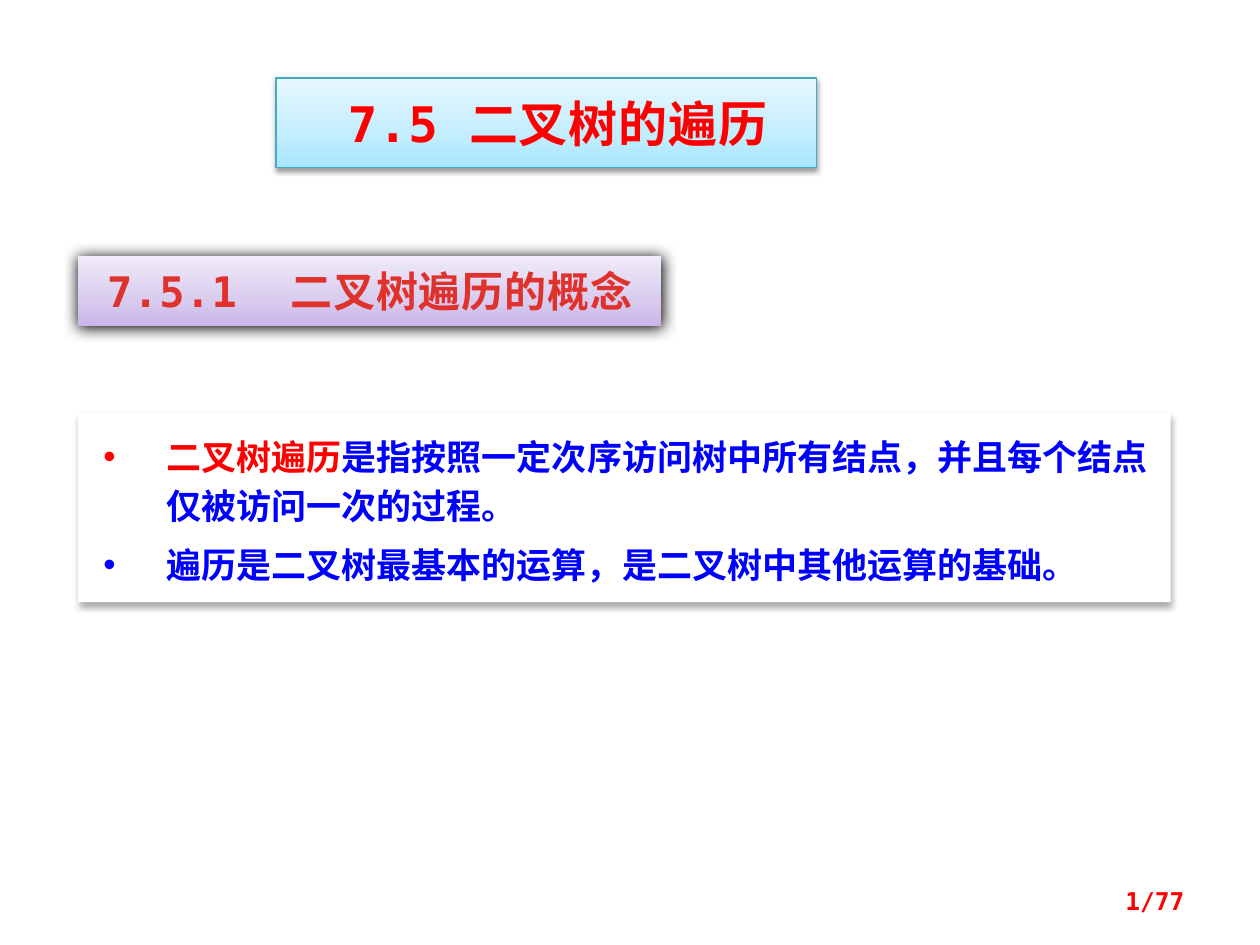
"""Build the section slide on binary tree traversal."""
from lxml.etree import SubElement
from pptx import Presentation
from pptx.dml.color import RGBColor
from pptx.enum.text import MSO_ANCHOR, MSO_AUTO_SIZE, PP_ALIGN
from pptx.oxml.ns import qn
from pptx.util import Inches, Pt

RED = RGBColor(0xFF, 0x00, 0x00)
BRICK = RGBColor(0xE0, 0x32, 0x2D)
BLUE = RGBColor(0x00, 0x00, 0xFF)
WHITE = RGBColor(0xFF, 0xFF, 0xFF)
TEAL = RGBColor(0x46, 0xAA, 0xC5)
SKY = [RGBColor(0xA7, 0xE6, 0xFF), RGBColor(0xC1, 0xED, 0xFF), RGBColor(0xE7, 0xF8, 0xFF)]
LILAC = [RGBColor(0xC9, 0xB5, 0xE8), RGBColor(0xD8, 0xCB, 0xEE), RGBColor(0xF0, 0xEA, 0xF9)]
STOPS = [0, 35, 100]


class SlideBuilder:
    """Hold the fonts and the current slide, and add its elements."""

    latin = "DejaVu Sans Mono"
    asian = "Noto Sans CJK SC"

    def __init__(self, deck):
        self.slide = deck.slides.add_slide(deck.slide_layouts[1])

    def place(self, box, area, margins, anchor=MSO_ANCHOR.TOP):
        box.left, box.top, box.width, box.height = map(Inches, area)
        frame = box.text_frame
        frame.word_wrap = True
        frame.auto_size = MSO_AUTO_SIZE.NONE
        frame.vertical_anchor = anchor
        left, top, right, bottom = map(Inches, margins)
        frame.margin_left, frame.margin_right = left, right
        frame.margin_top, frame.margin_bottom = top, bottom

    def format_span(self, span, size, color, spacing=0):
        font = span.font
        font.size, font.bold, font.name = Pt(size), True, self.latin
        font.color.rgb = color
        properties = span._r.get_or_add_rPr()
        properties.set("spc", str(round(spacing * 100)))
        SubElement(properties, qn("a:ea"), typeface=self.asian)

    def format_line(self, box, text, size, color, align, spacing=0):
        box.text_frame.text = text
        para = box.text_frame.paragraphs[0]
        para.alignment = align
        para.space_before = Pt(0)
        self.format_span(para.runs[0], size, color, spacing)

    def gradient(self, box, colors):
        box.fill.gradient()
        box.fill.gradient_angle = 90
        stops = box._element.spPr.find(".//" + qn("a:gsLst"))
        for stop in list(stops):
            stops.remove(stop)
        for position, color in zip(STOPS, colors):
            stop = SubElement(stops, qn("a:gs"), pos=str(position * 1000))
            SubElement(stop, qn("a:srgbClr"), val=str(color))

    def shadow(self, box, opacity, blur, distance):
        effects = SubElement(box._element.spPr, qn("a:effectLst"))
        outer = SubElement(effects, qn("a:outerShdw"), blurRad=str(Pt(blur)),
                           dist=str(Pt(distance)), dir="5400000", rotWithShape="0")
        color = SubElement(outer, qn("a:srgbClr"), val="000000")
        SubElement(color, qn("a:alpha"), val=str(opacity * 1000))

    def title(self, text):
        box = self.slide.shapes.title
        self.place(box, (2.19, 0.62, 4.29, 0.71), (0.28, 0.12, 0.1, 0.12))
        self.format_line(box, text, 28, RED, PP_ALIGN.CENTER, 0.5)
        self.gradient(box, SKY)
        box.line.color.rgb = TEAL
        box.line.width = Pt(0.75)
        self.shadow(box, 38, 3.1, 1.6)

    def heading(self, text):
        box = self.slide.shapes.add_textbox(0, 0, 0, 0)
        self.place(box, (0.62, 2.03, 4.63, 0.56), (0.1, 0.08, 0.1, 0.08))
        self.format_line(box, text, 24, BRICK, PP_ALIGN.CENTER, 0.5)
        self.gradient(box, LILAC)
        self.shadow(box, 100, 8.5, 1)

    def bullets(self, items):
        box = self.slide.placeholders[1]
        self.place(box, (0.62, 3.28, 8.67, 1.5), (0.2, 0.12, 0.1, 0.12))
        box.fill.solid()
        box.fill.fore_color.rgb = WHITE
        self.shadow(box, 32, 3.5, 2.2)
        frame = box.text_frame
        for index, spans in enumerate(items):
            para = frame.add_paragraph() if index else frame.paragraphs[0]
            para.line_spacing = Pt(28)
            para.space_before = Pt(6 if index else 0)
            properties = para._p.get_or_add_pPr()
            properties.set("marL", str(Inches(0.5)))
            properties.set("indent", str(Inches(-0.5)))
            SubElement(properties, qn("a:buChar"), char="•")
            for text, color in spans:
                span = para.add_run()
                span.text = text
                self.format_span(span, 20, color)

    def page_number(self, text):
        box = self.slide.shapes.add_textbox(0, 0, 0, 0)
        self.place(box, (7.17, 6.95, 2.33, 0.4), (0.1, 0.05, 0.1, 0.05), MSO_ANCHOR.MIDDLE)
        self.format_line(box, text, 14, RED, PP_ALIGN.RIGHT)


def main():
    deck = Presentation()
    deck.slide_width, deck.slide_height = Inches(10), Inches(7.5)
    page = SlideBuilder(deck)
    page.title("7.5 二叉树的遍历")
    page.heading("7.5.1  二叉树遍历的概念")
    page.bullets([
        [("二叉树遍历", RED),
         ("是指按照一定次序访问树中所有结点，并且每个结点仅被访问一次的过程。", BLUE)],
        [("遍历是二叉树最基本的运算，是二叉树中其他运算的基础。", BLUE)],
    ])
    page.page_number("1/77")
    deck.save("out.pptx")


if __name__ == "__main__":
    main()
